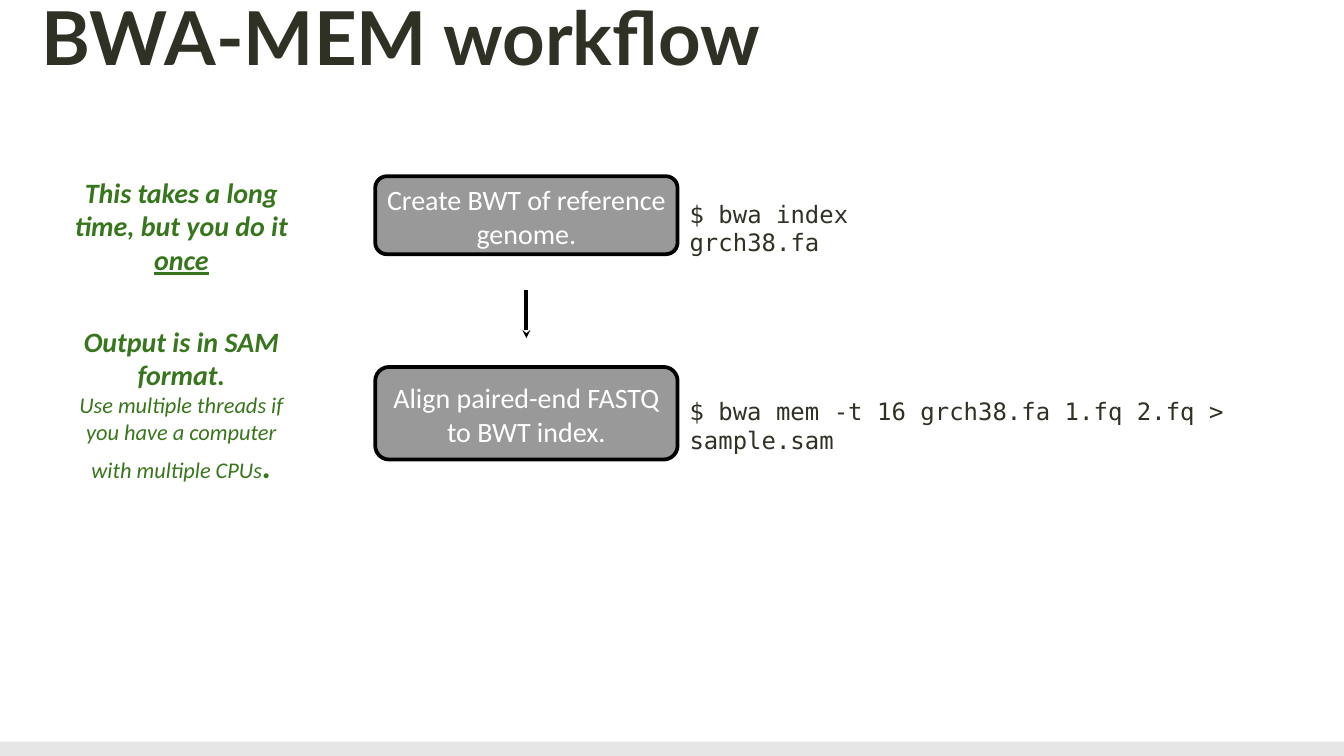
from lxml import etree
from pptx import Presentation
from pptx.dml.color import RGBColor
from pptx.enum import shapes, text
from pptx.oxml.ns import qn
from pptx.util import Pt

INK, GREEN, GRAY, PALE = "2F3124", "38761D", "999999", "E7E6E6"
BLACK, WHITE = "000000", "FFFFFF"
BODY, CODE = "Calibri", "DejaVu Sans Mono"

TITLE = "BWA-MEM workflow"
# Each step: label, command, box top and height, command top and width
STEPS = [
    ("Create BWT of reference genome.", "$ bwa index grch38.fa", 94.4, 41.8, 105.8, 151),
    ("Align paired-end FASTQ to BWT index.",
     "$ bwa mem -t 16 grch38.fa 1.fq 2.fq > sample.sam", 196.6, 49.6, 211.7, 343.5),
]
# Each note: top, height, paragraphs of (size, bold, runs of (text, overrides))
NOTES = [
    (92.9, 56, [(15, True, [("This takes a long time, but you do it ", {}),
                            ("once", {"underline": True})])]),
    (172.8, 88, [(15, True, [("Output is in SAM format.", {})]),
                 (12, False, [("Use multiple threads if you have a computer "
                               "with multiple CPUs", {}),
                              (".", {"size": Pt(18), "bold": True})])]),
]
SLIDE_WIDTH, SLIDE_HEIGHT = 720, 405
BOX_LEFT, BOX_WIDTH = 201, 162
COMMAND_LEFT = 369.4
NOTE_LEFT, NOTE_WIDTH = 39.2, 116
ARROW_TOP, ARROW_BOTTOM = 155.5, 181.2
FOOTER_HEIGHT = 7.6


def rgb(value):
    return RGBColor.from_string(value)


def set_font(font, name, size, color, bold=False, italic=False):
    font.name, font.size, font.bold, font.italic = name, Pt(size), bold, italic
    font.color.rgb = rgb(color)


def set_frame(frame, anchor, side=0):
    frame.word_wrap = True
    frame.auto_size = text.MSO_AUTO_SIZE.NONE
    frame.vertical_anchor = anchor
    frame.margin_left = frame.margin_right = Pt(side)
    frame.margin_top, frame.margin_bottom = Pt(1), 0


def add_filled(slide, kind, left, top, width, height, color):
    shape = slide.shapes.add_shape(kind, Pt(left), Pt(top), Pt(width), Pt(height))
    shape.shadow.inherit = False
    shape.fill.solid()
    shape.fill.fore_color.rgb = rgb(color)
    shape.line.fill.background()
    return shape


def add_text_frame(slide, left, top, width, height):
    box = slide.shapes.add_textbox(Pt(left), Pt(top), Pt(width), Pt(height))
    set_frame(box.text_frame, text.MSO_ANCHOR.TOP)
    return box.text_frame


def add_title(slide):
    title = slide.shapes.title
    title.left, title.top, title.width, title.height = Pt(22.3), Pt(-5.8), Pt(500), Pt(49)
    set_frame(title.text_frame, text.MSO_ANCHOR.MIDDLE)
    paragraph = title.text_frame.paragraphs[0]
    paragraph.text = TITLE
    paragraph.alignment = text.PP_ALIGN.LEFT
    set_font(paragraph.font, "Lato", 39.8, INK, bold=True)


def add_step(slide, label, command, top, height, command_top, command_width):
    box = add_filled(slide, shapes.MSO_SHAPE.ROUNDED_RECTANGLE,
                     BOX_LEFT, top, BOX_WIDTH, height, GRAY)
    box.adjustments[0] = 0.15
    box.line.color.rgb = rgb(BLACK)
    box.line.width = Pt(2)
    set_frame(box.text_frame, text.MSO_ANCHOR.MIDDLE, side=3)
    paragraph = box.text_frame.paragraphs[0]
    paragraph.text = label
    paragraph.alignment = text.PP_ALIGN.CENTER
    set_font(paragraph.font, BODY, 15, WHITE)

    frame = add_text_frame(slide, COMMAND_LEFT, command_top, command_width, 32)
    frame.text = command
    set_font(frame.paragraphs[0].font, CODE, 12.8, INK)


def add_note(slide, top, height, paragraphs):
    frame = add_text_frame(slide, NOTE_LEFT, top, NOTE_WIDTH, height)
    for index, (size, bold, runs) in enumerate(paragraphs):
        paragraph = frame.add_paragraph() if index else frame.paragraphs[0]
        paragraph.alignment = text.PP_ALIGN.CENTER
        set_font(paragraph.font, BODY, size, GREEN, bold, italic=True)
        for content, overrides in runs:
            run = paragraph.add_run()
            run.text = content
            for name, value in overrides.items():
                setattr(run.font, name, value)


def add_arrow(slide):
    center = Pt(BOX_LEFT + BOX_WIDTH / 2)
    arrow = slide.shapes.add_connector(shapes.MSO_CONNECTOR.STRAIGHT,
                                       center, Pt(ARROW_TOP), center, Pt(ARROW_BOTTOM))
    arrow.line.color.rgb = rgb(BLACK)
    arrow.line.width = Pt(2.25)
    etree.SubElement(arrow.line._get_or_add_ln(), qn("a:tailEnd"),
                     type="stealth", w="sm", len="sm")
    etree.SubElement(arrow._element.spPr, qn("a:effectLst"))


def main():
    presentation = Presentation()
    presentation.slide_width, presentation.slide_height = Pt(SLIDE_WIDTH), Pt(SLIDE_HEIGHT)
    slide = presentation.slides.add_slide(presentation.slide_layouts.get_by_name("Title Only"))
    add_filled(slide, shapes.MSO_SHAPE.RECTANGLE, 0, SLIDE_HEIGHT - FOOTER_HEIGHT,
               SLIDE_WIDTH, FOOTER_HEIGHT, PALE)
    add_title(slide)
    for step in STEPS:
        add_step(slide, *step)
    add_arrow(slide)
    for note in NOTES:
        add_note(slide, *note)
    presentation.save("out.pptx")


if __name__ == "__main__":
    main()
